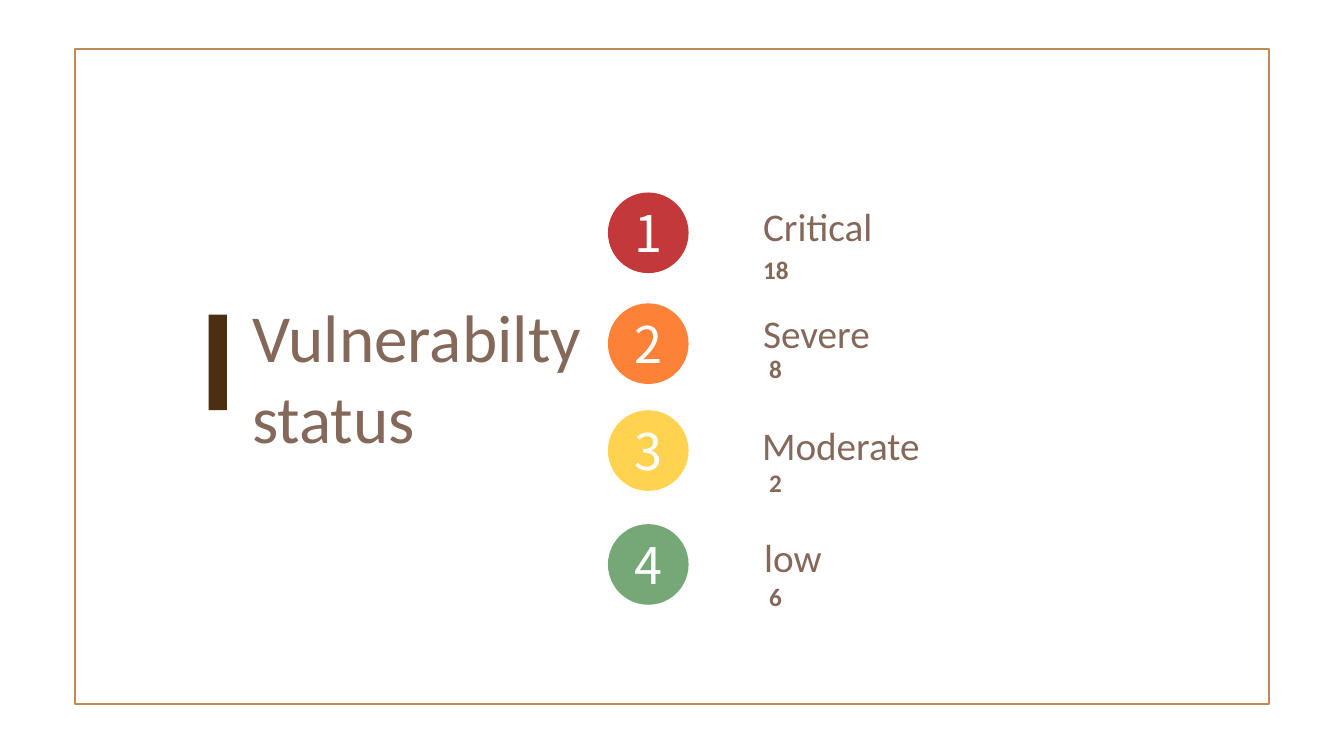
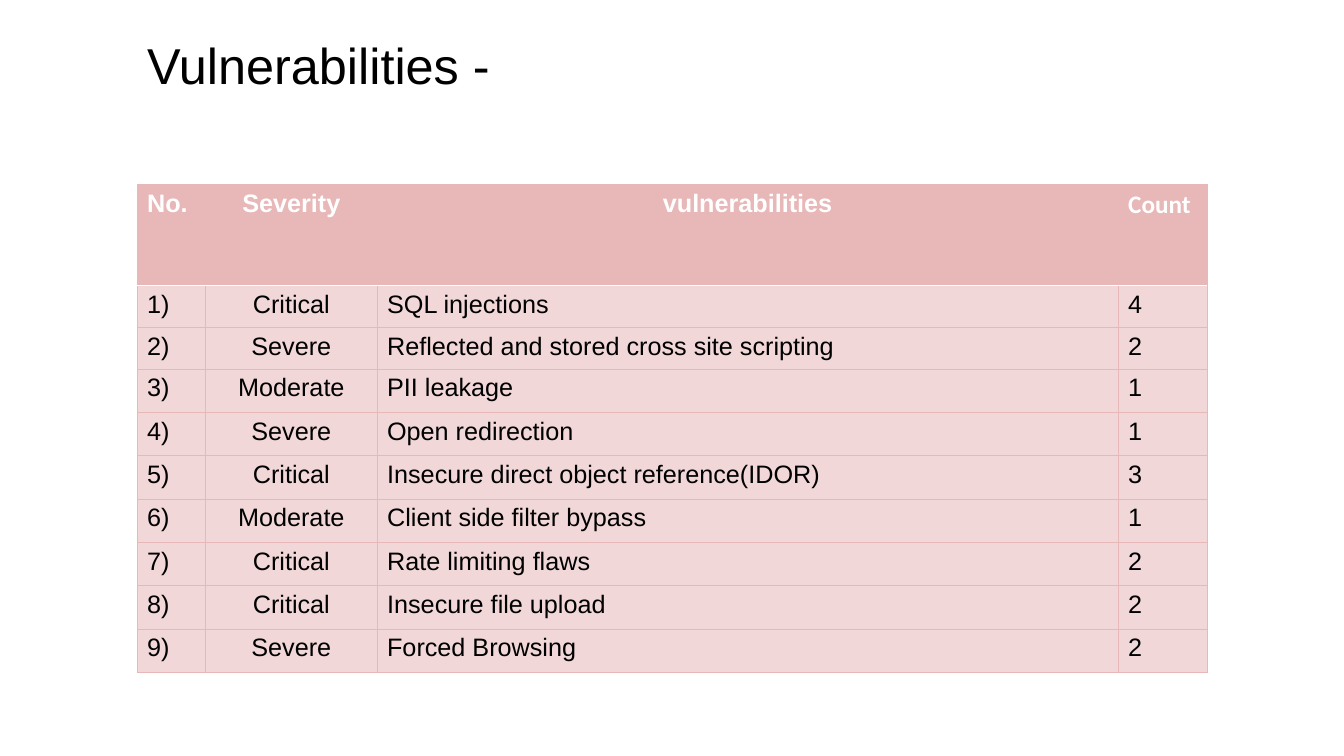
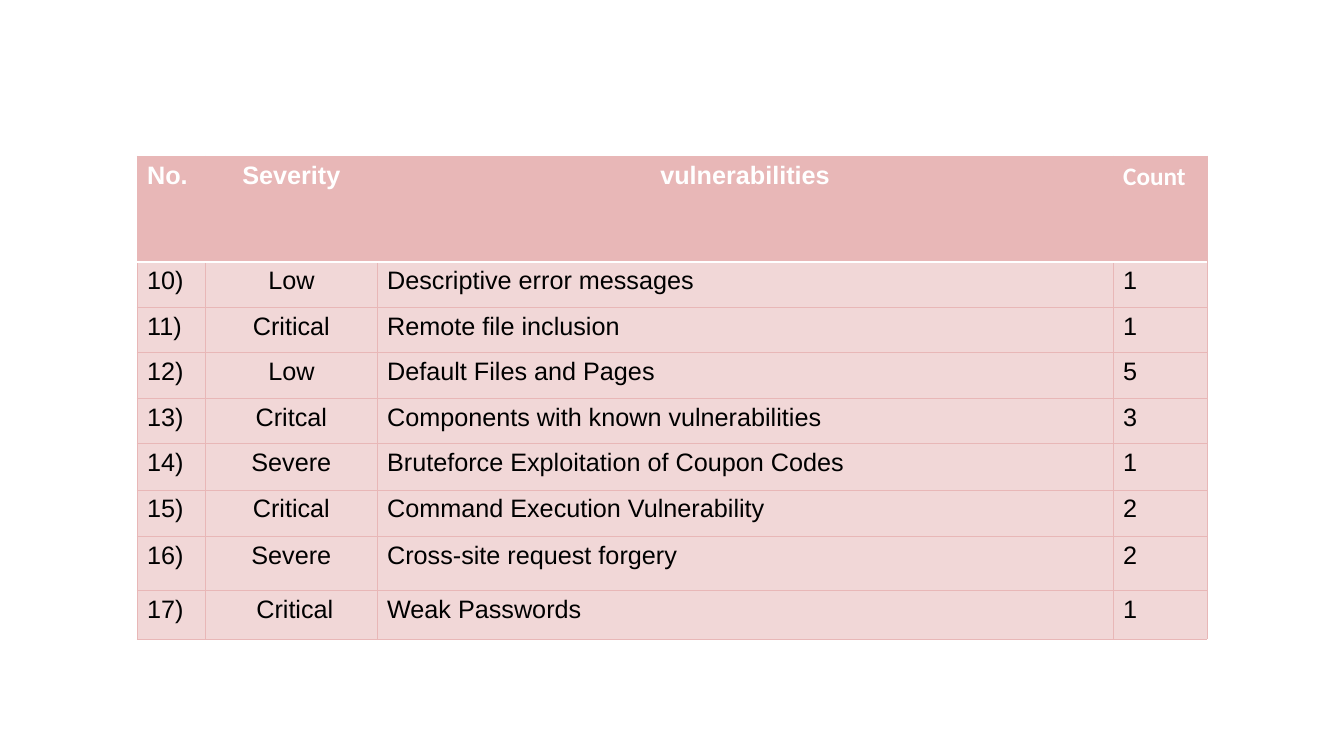
from lxml import etree
from pptx import Presentation
from pptx.dml.color import RGBColor
from pptx.enum.shapes import MSO_SHAPE
from pptx.enum.text import MSO_ANCHOR, MSO_AUTO_SIZE, PP_ALIGN
from pptx.oxml import parse_xml
from pptx.oxml.ns import nsdecls, qn
from pptx.util import Pt

RECT, OVAL = MSO_SHAPE.RECTANGLE, MSO_SHAPE.OVAL
LEFT, CENTER = PP_ALIGN.LEFT, PP_ALIGN.CENTER
TOP, MIDDLE = MSO_ANCHOR.TOP, MSO_ANCHOR.MIDDLE
PX = 9144  # 100 px to the inch

WHITE, BLACK = "FFFFFF", "000000"
GOLD, DARK_BROWN, BROWN = "C18953", "4C2F10", "84685A"
PINK, PALE_PINK = "E8B7B7", "F1D7D7"


def rgb(color):
    return RGBColor.from_string(color)


def write(tf, text, size, font, color, bold=False, align=LEFT, anchor=TOP):
    tf.word_wrap = True
    tf.vertical_anchor = anchor
    p = tf.paragraphs[0]
    p.alignment = align
    r = p.add_run()
    r.text = text
    r.font.size, r.font.name, r.font.bold = Pt(size), font, bold
    r.font.color.rgb = rgb(color)


prs = Presentation()
prs.slide_width, prs.slide_height = 1333 * PX, 750 * PX
TITLE_ONLY, BLANK = prs.slide_layouts[5], prs.slide_layouts[6]

# Titles: text, box, size, font, colour
titles = [
    ("Vulnerabilty status", (240, 288, 363, 172), 48, "Calibri", BROWN),
    ("Vulnerabilities -", (136, 29, 588, 71), 36, "Arial", BLACK),
]
for text, box, size, font, color in titles:
    title = prs.slides.add_slide(TITLE_ONLY).shapes.title
    title.left, title.top, title.width, title.height = [v * PX for v in box]
    title.text_frame.auto_size = MSO_AUTO_SIZE.NONE
    write(title.text_frame, text, size, font, color)
prs.slides.add_slide(BLANK)

# Slide 1: frame and title bar
s = prs.slides[0]
frame = s.shapes.add_shape(RECT, 74 * PX, 49 * PX, 1185 * PX, 649 * PX)
frame.shadow.inherit = False
frame.fill.background()
frame.line.color.rgb = rgb(GOLD)
frame.line.width = Pt(1.5)

bar = s.shapes.add_shape(RECT, 207 * PX, 312 * PX, 18 * PX, 95 * PX)
bar.shadow.inherit = False
bar.fill.solid()
bar.fill.fore_color.rgb = rgb(DARK_BROWN)
bar.line.fill.background()

# Slide 1: level, count, colour, opacity in %, circle top, label x and y, count x and y
levels = [
    ("Critical", 18, "C33939", 100, 191, 747, 196, 747, 247),
    ("Severe", 8, "FD8136", 100, 301, 747, 302, 753, 346),
    ("Moderate", 2, "FFC000", 69, 407, 746, 413, 753, 459),
    ("low", 6, "76A776", 100, 520, 748, 524, 753, 572),
]
for n, (level, count, color, opacity, top, lx, ly, cx, cy) in enumerate(levels, 1):
    circle = s.shapes.add_shape(OVAL, 603 * PX, top * PX, 80 * PX, 80 * PX)
    circle.shadow.inherit = False
    circle.fill.solid()
    circle.fill.fore_color.rgb = rgb(color)
    if opacity < 100:
        clr = circle.fill._xPr.find(qn("a:solidFill"))[0]
        etree.SubElement(clr, qn("a:alpha"), val=str(opacity * 1000))
    circle.line.fill.background()
    tf = circle.text_frame
    tf.margin_left = tf.margin_right = tf.margin_top = tf.margin_bottom = 0
    write(tf, str(n), 36, "Noto Sans CJK SC", WHITE, align=CENTER, anchor=MIDDLE)

    label = s.shapes.add_textbox(lx * PX, ly * PX, 309 * PX, 57 * PX)
    write(label.text_frame, level, 28, "Calibri", BROWN)
    total = s.shapes.add_textbox(cx * PX, cy * PX, 309 * PX, 40 * PX)
    write(total.text_frame, str(count), 18, "Calibri", BROWN, bold=True)

# Slides 2 and 3: vulnerability tables
HEADER = ("No.", "Severity", "vulnerabilities", "Count")
found = [
    ("Critical", "SQL injections", 4),
    ("Severe", "Reflected and stored cross site scripting", 2),
    ("Moderate", "PII leakage", 1),
    ("Severe", "Open redirection", 1),
    ("Critical", "Insecure direct object reference(IDOR)", 3),
    ("Moderate", "Client side filter bypass", 1),
    ("Critical", "Rate limiting flaws", 2),
    ("Critical", "Insecure file upload", 2),
    ("Severe", "Forced Browsing", 2),
    ("Low", "Descriptive error messages", 1),
    ("Critical", "Remote file inclusion", 1),
    ("Low", "Default Files and Pages", 5),
    ("Critcal", "Components with known vulnerabilities", 3),
    ("Severe", "Bruteforce Exploitation of Coupon Codes", 1),
    ("Critical", "Command Execution Vulnerability", 2),
    ("Severe", "Cross-site request forgery", 2),
    (" Critical", "Weak Passwords", 1),
]
numbered = [(f"{n})", *row) for n, row in enumerate(found, 1)]

# Slide index, table top, column widths, row heights, body rows
tables = [
    (1, 183, (68, 170, 735, 88), [100, 42, 41] + [43] * 7, numbered[:9]),
    (2, 155, (68, 170, 730, 93), [105, 45, 45, 45, 45, 46, 46, 54, 48], numbered[9:]),
]
for index, top, widths, heights, body in tables:
    table = prs.slides[index].shapes.add_table(
        len(heights), len(widths), 136 * PX, top * PX,
        sum(widths) * PX, sum(heights) * PX).table
    table.horz_banding = False
    for column, width in zip(table.columns, widths):
        column.width = width * PX
    for i, (height, row) in enumerate(zip(heights, [HEADER, *body])):
        table.rows[i].height = height * PX
        head = i == 0
        for j, value in enumerate(row):
            cell = table.cell(i, j)
            # White rule under the header, pink rules elsewhere
            for side in "LRTB":
                rule = (i, side) in ((0, "B"), (1, "T"))
                color, weight = (WHITE, Pt(1)) if rule else (PINK, Pt(0.5))
                cell._tc.get_or_add_tcPr().append(parse_xml(
                    f'<a:ln{side} {nsdecls("a")} w="{weight}"><a:solidFill>'
                    f'<a:srgbClr val="{color}"/></a:solidFill></a:ln{side}>'))
            cell.fill.solid()
            cell.fill.fore_color.rgb = rgb(PINK if head else PALE_PINK)
            centred = j == 1 or (head and j == 2)
            write(cell.text_frame, str(value), 18,
                  "Calibri" if head and j == 3 else "Arial",
                  WHITE if head else BLACK, bold=head,
                  align=CENTER if centred else LEFT)

prs.save("out.pptx")
